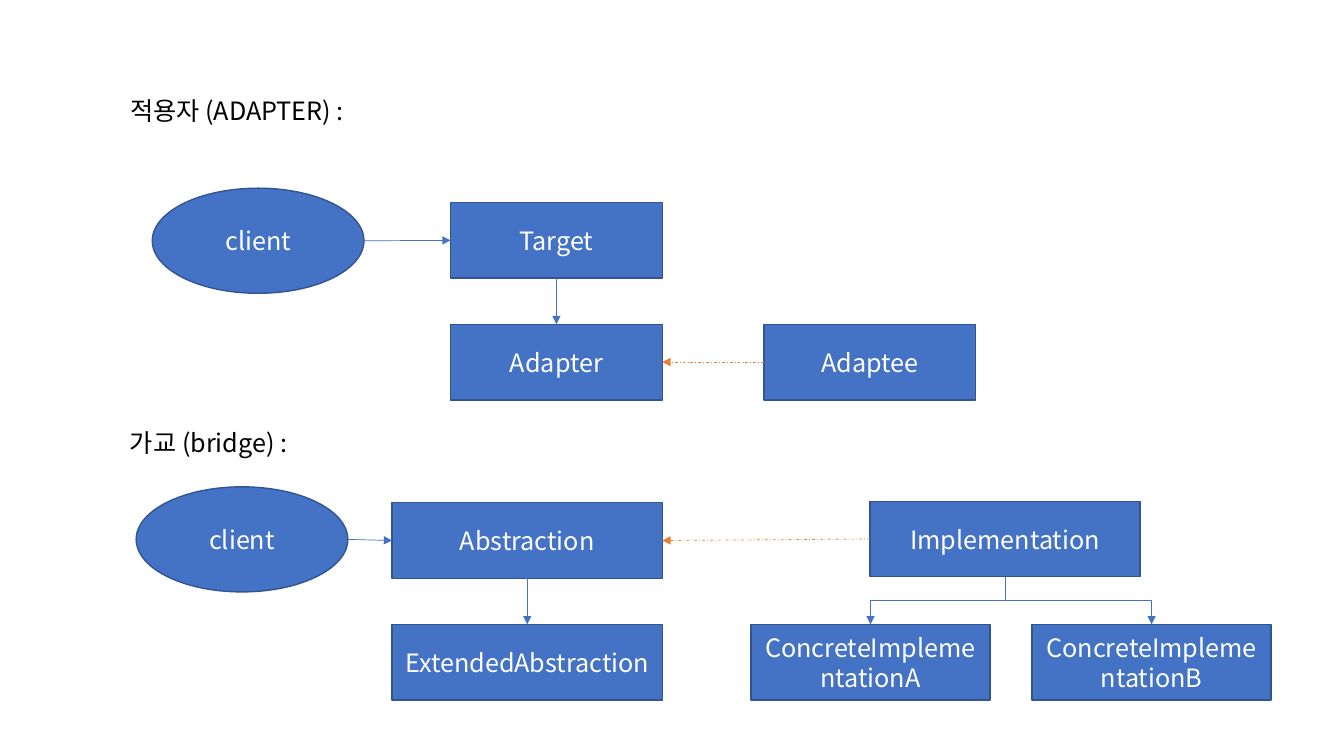
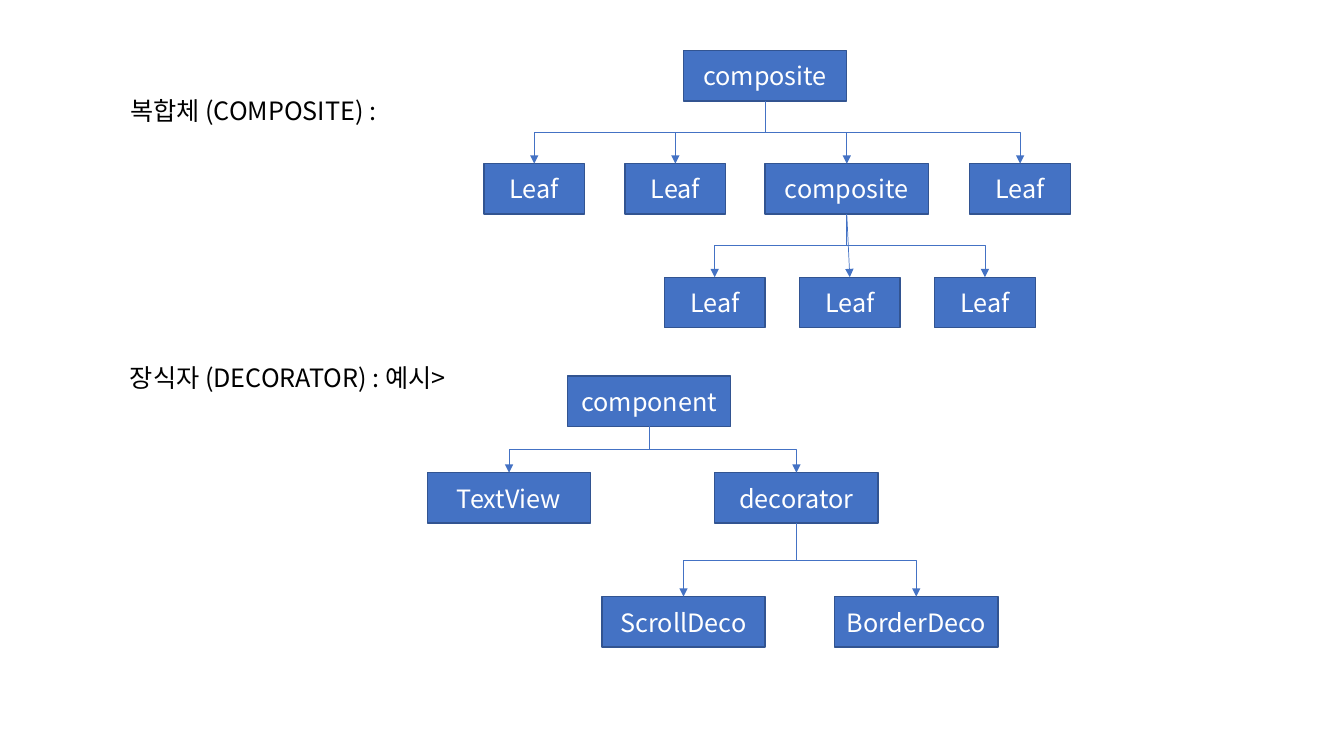
from dataclasses import dataclass

from lxml.etree import SubElement
from pptx import Presentation
from pptx.dml.color import RGBColor
from pptx.enum.dml import MSO_LINE
from pptx.enum.shapes import MSO_CONNECTOR, MSO_SHAPE
from pptx.enum.text import MSO_ANCHOR, MSO_AUTO_SIZE, PP_ALIGN
from pptx.oxml.ns import qn
from pptx.util import Inches, Pt

TOP, LEFT, BOTTOM, RIGHT = range(4)


@dataclass(frozen=True)
class Theme:
    """Colours, font and sizes shared by all slides."""
    fill: RGBColor = RGBColor(0x44, 0x72, 0xC4)
    edge: RGBColor = RGBColor(0x32, 0x54, 0x91)
    accent: RGBColor = RGBColor(0xED, 0x7D, 0x31)
    ink: RGBColor = RGBColor(0, 0, 0)
    paper: RGBColor = RGBColor(255, 255, 255)
    font: str = "Noto Sans CJK KR"
    size: Pt = Pt(18)
    border: Pt = Pt(1)
    wire: Pt = Pt(0.5)


class Deck:
    """Draws diagrams on slides, with lengths in percent of the slide."""

    def __init__(self, theme):
        """Start an empty wide deck."""
        self.theme = theme
        self.deck = Presentation()
        self.deck.slide_width = Inches(13.33)
        self.deck.slide_height = Inches(7.5)
        self.slide = None

    def scale(self, left, top, width, height):
        """Turn shares of the slide into lengths."""
        wide, high = self.deck.slide_width, self.deck.slide_height
        pairs = ((left, wide), (top, high), (width, wide), (height, high))
        return [round(part * full / 100) for part, full in pairs]

    def say(self, shape, text, color, align):
        """Add one styled run to a shape."""
        para = shape.text_frame.paragraphs[0]
        para.alignment = align
        run = para.add_run()
        run.text = text
        run.font.size = self.theme.size
        run.font.name = self.theme.font
        run.font.color.rgb = color
        SubElement(run.font._element, qn("a:ea"), typeface=self.theme.font)

    def label(self, shape, text, top, width):
        """Place and format a heading."""
        shape.left, shape.top, shape.width, shape.height = self.scale(
            8.93, top, width, 5.33)
        frame = shape.text_frame
        frame.word_wrap = False
        frame.auto_size = MSO_AUTO_SIZE.SHAPE_TO_FIT_TEXT
        frame.vertical_anchor = MSO_ANCHOR.TOP
        self.say(shape, text, self.theme.ink, PP_ALIGN.LEFT)

    def title(self, text, width):
        """Start a slide with its title."""
        self.slide = self.deck.slides.add_slide(self.deck.slide_layouts[5])
        self.label(self.slide.shapes.title, text, 12, width)

    def head(self, text, top, width):
        """Add a second heading."""
        box = self.slide.shapes.add_textbox(0, 0, 0, 0)
        self.label(box, text, top, width)

    def node(self, text, left, top, width, height, kind=MSO_SHAPE.RECTANGLE):
        """Add a filled shape with centred text."""
        shape = self.slide.shapes.add_shape(
            kind, *self.scale(left, top, width, height))
        shape.shadow.inherit = False
        shape.fill.solid()
        shape.fill.fore_color.rgb = self.theme.fill
        shape.line.color.rgb = self.theme.edge
        shape.line.width = self.theme.border
        shape.text_frame.word_wrap = True
        shape.text_frame.vertical_anchor = MSO_ANCHOR.MIDDLE
        self.say(shape, text, self.theme.paper, PP_ALIGN.CENTER)
        return shape

    def client(self, left, top):
        """Add a client ellipse."""
        return self.node("client", left, top, 15.75, 13.9, MSO_SHAPE.OVAL)

    def wire(self, kind, color, dash=None):
        """Add a styled arrow without ends."""
        link = self.slide.shapes.add_connector(kind, 0, 0, 0, 0)
        link.line.color.rgb = color
        link.line.width = self.theme.wire
        if dash:
            link.line.dash_style = dash
        props = link._element.spPr
        SubElement(props.find(qn("a:ln")), qn("a:tailEnd"), type="triangle")
        SubElement(props, qn("a:effectLst"))
        return link

    def arrow(self, start, end, out=BOTTOM, into=TOP):
        """Join two boxes with a straight arrow."""
        link = self.wire(MSO_CONNECTOR.STRAIGHT, self.theme.fill)
        link.begin_connect(start, out)
        link.end_connect(end, into)

    def enter(self, oval, box):
        """Lead from an ellipse's right side to a box."""
        link = self.wire(MSO_CONNECTOR.STRAIGHT, self.theme.fill)
        link.begin_x = oval.left + oval.width
        link.begin_y = oval.top + oval.height // 2
        link.end_connect(box, LEFT)

    def adapt(self, start, end):
        """Lead a dashed arrow leftwards between two boxes."""
        link = self.wire(MSO_CONNECTOR.STRAIGHT, self.theme.accent,
                         MSO_LINE.DASH_DOT)
        link.begin_connect(start, LEFT)
        link.end_connect(end, RIGHT)

    def bend(self, start, end):
        """Lead an elbow arrow down to a child box."""
        link = self.wire(MSO_CONNECTOR.ELBOW, self.theme.fill)
        link.begin_connect(start, BOTTOM)
        link.end_connect(end, TOP)
        x, y = link.begin_x, link.begin_y
        run, drop = link.end_x - x, link.end_y - y
        frame = link._element.spPr.find(qn("a:xfrm"))
        for flip in ("flipH", "flipV"):
            frame.attrib.pop(flip, None)
        link.left = x + (run - drop) // 2
        link.top = y + (drop - abs(run)) // 2
        link.width, link.height = drop, abs(run)
        frame.set("rot", "16200000" if run > 0 else "5400000")
        if run > 0:
            frame.set("flipH", "1")

    def tree(self, root, *kids):
        """Join a parent to each child."""
        for kid in kids:
            self.bend(root, kid)


def bridge(deck):
    """Draw the adapter and bridge patterns."""
    deck.title("적용자 (ADAPTER) :", 18.15)
    target, adapter, adaptee = [
        deck.node(text, left, top, 15.75, 10) for text, left, top in (
            ("Target", 33.53, 26.8),
            ("Adapter", 33.53, 42.9),
            ("Adaptee", 56.85, 42.9))]
    deck.enter(deck.client(11.33, 24.9), target)
    deck.arrow(target, adapter)
    deck.adapt(adaptee, adapter)

    deck.head("가교 (bridge) :", 55.87, 14.48)
    base, more, impl, one, two = [
        deck.node(text, left, top, width, 10) for text, left, top, width in (
            ("Abstraction", 29.18, 66.5, 20.1),
            ("ExtendedAbstraction", 29.18, 82.6, 20.1),
            ("Implementation", 64.73, 66.3, 20.1),
            ("ConcreteImplementationA", 55.88, 82.6, 17.78),
            ("ConcreteImplementationB", 76.8, 82.6, 17.78))]
    deck.enter(deck.client(10.13, 64.4), base)
    deck.arrow(base, more)
    deck.adapt(impl, base)
    deck.tree(impl, one, two)


def composite(deck):
    """Draw the composite and decorator patterns."""
    wide, slim, high = 12.15, 7.5, 6.67
    deck.title("복합체 (COMPOSITE) :", 20.55)
    root, group = [deck.node("composite", left, top, wide, high)
                   for left, top in ((50.85, 6.67), (56.93, 21.65))]
    deck.tree(root, group, *[deck.node("Leaf", left, 21.65, slim, high)
                             for left in (36, 46.5, 72.15)])
    first, mid, last = [
        deck.node("Leaf", 49.43 + 10.05 * step, 36.67, slim, high)
        for step in range(3)]
    deck.tree(group, first, last)
    deck.arrow(group, mid)

    deck.head("장식자 (DECORATOR) : 예시>", 47.33, 26.63)
    part, view, deco, scroll, border = [
        deck.node(text, left, top, wide, high) for text, left, top in (
            ("component", 42.23, 49.73),
            ("TextView", 31.8, 62.53),
            ("decorator", 53.18, 62.53),
            ("ScrollDeco", 44.78, 78.93),
            ("BorderDeco", 62.1, 78.93))]
    deck.tree(part, view, deco)
    deck.tree(deco, scroll, border)


def main():
    """Build and save the deck."""
    deck = Deck(Theme())
    bridge(deck)
    composite(deck)
    deck.deck.save("out.pptx")


if __name__ == "__main__":
    main()
